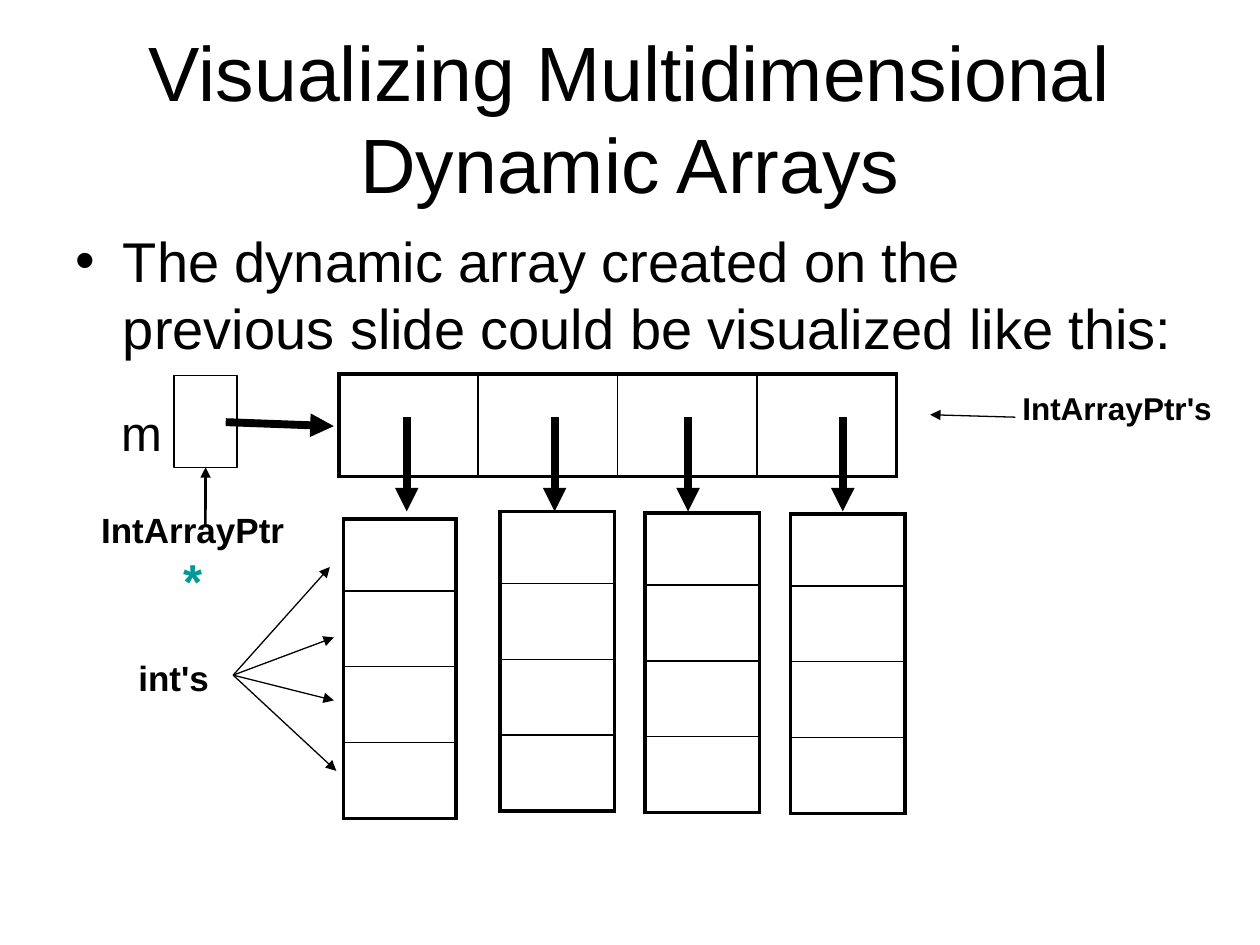
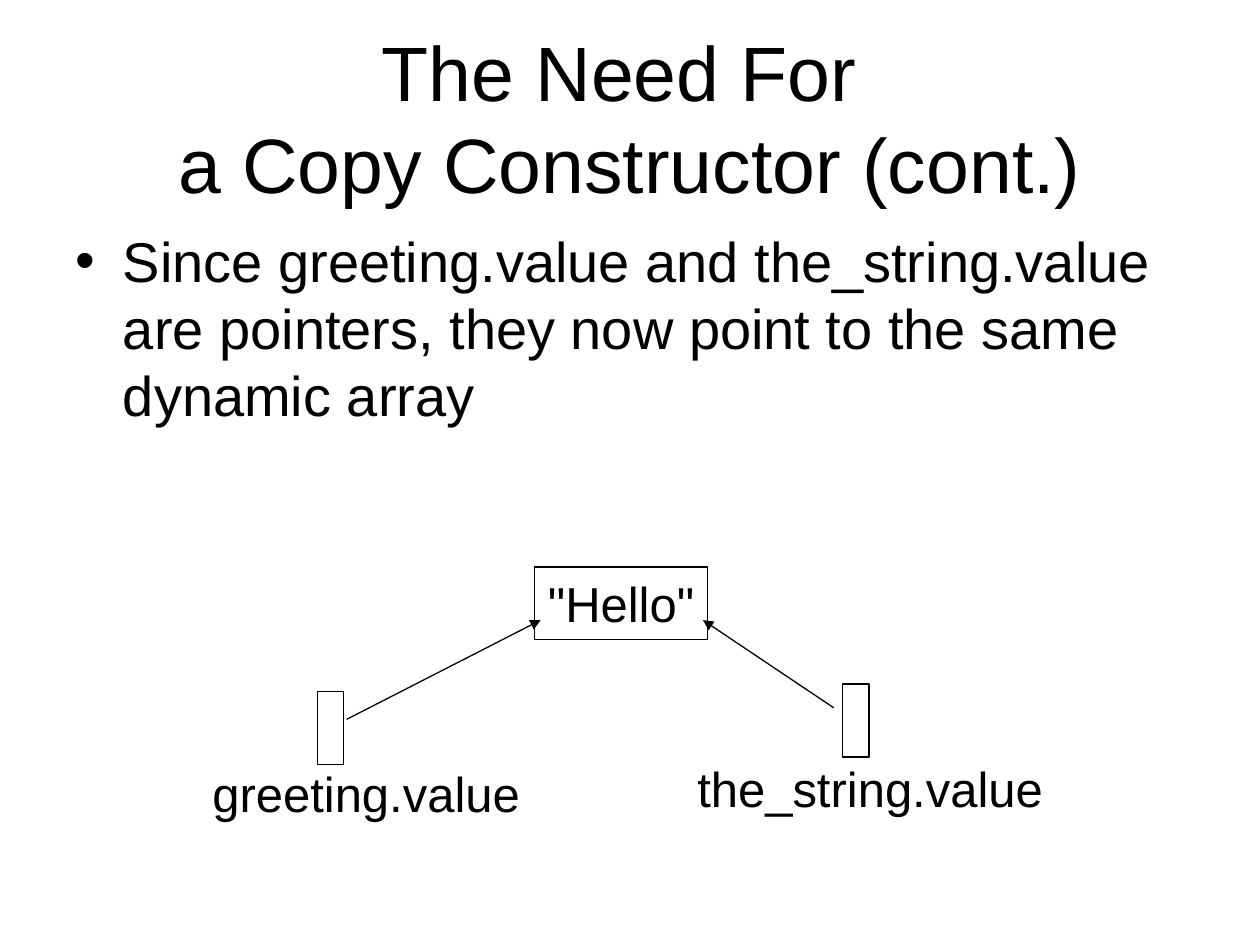
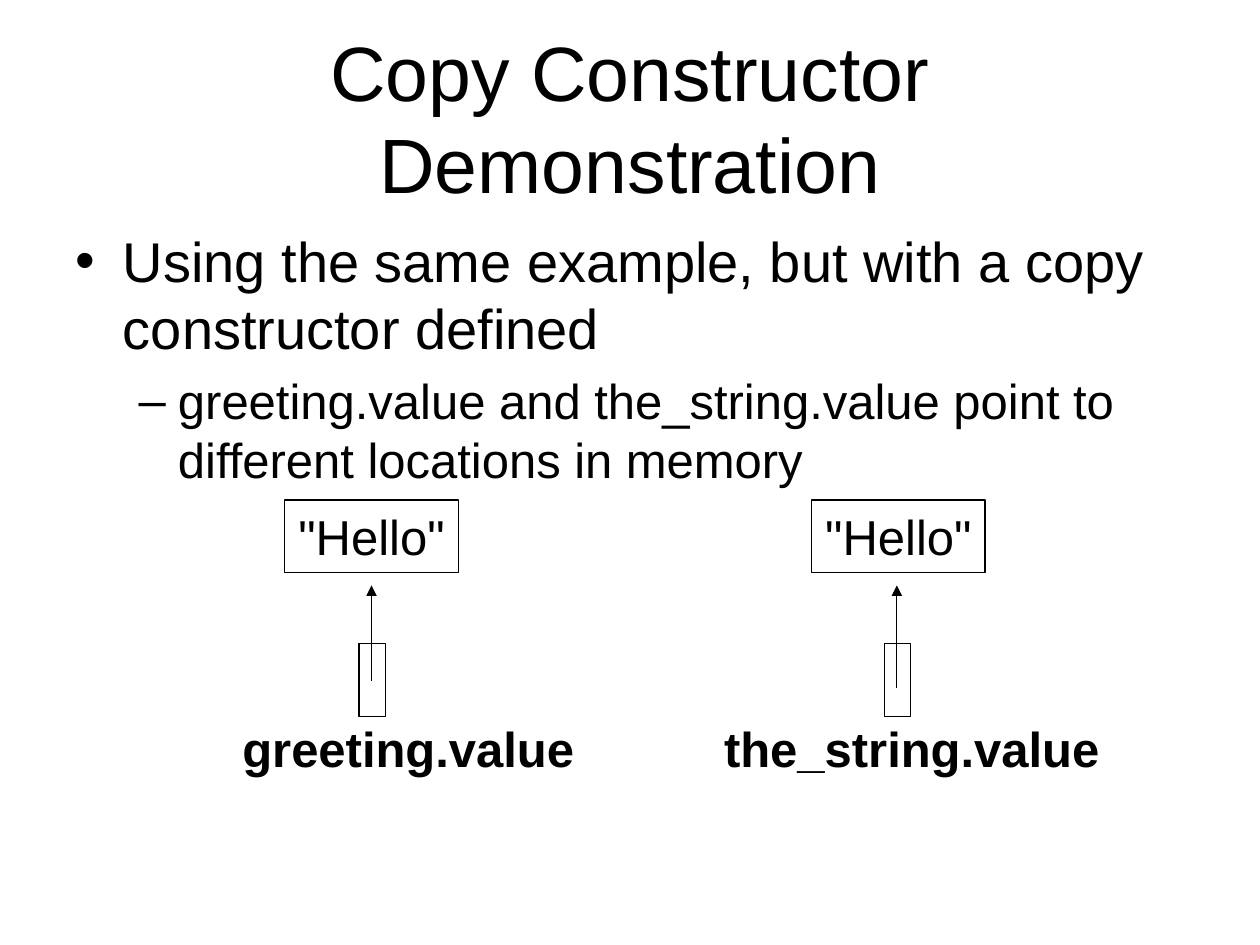
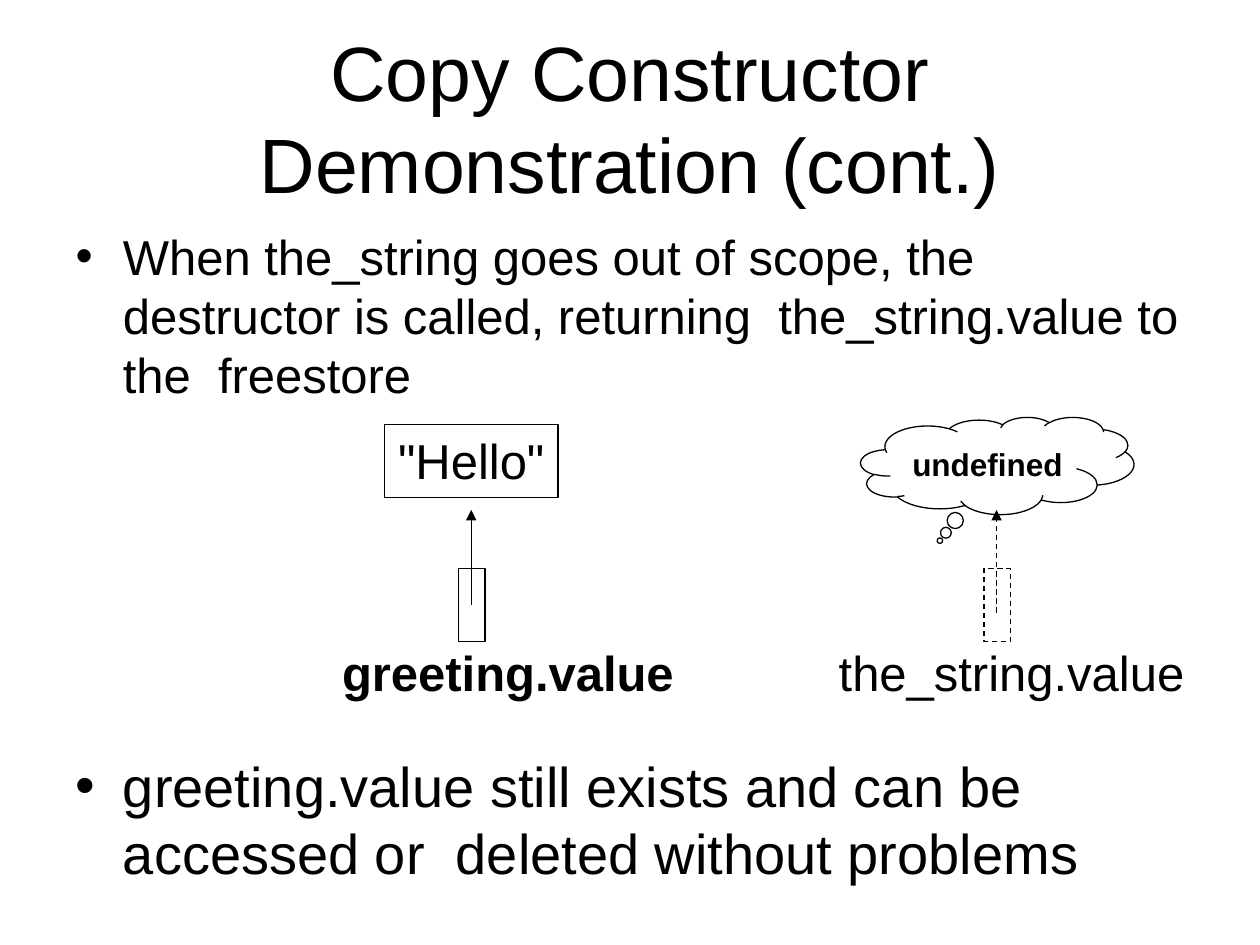
from lxml.etree import SubElement as Sub, Element
from pptx import Presentation
from pptx.dml.color import RGBColor
from pptx.enum.dml import MSO_LINE as Dash
from pptx.enum.shapes import MSO_CONNECTOR as Link, MSO_SHAPE as Form
from pptx.enum.text import MSO_ANCHOR as Anchor, MSO_AUTO_SIZE as Fit, PP_ALIGN as Align
from pptx.oxml.ns import qn
from pptx.util import Cm, Pt

BLACK = RGBColor(0x00, 0x00, 0x00)
TEAL = RGBColor(0x00, 0x99, 0x99)
THIN, MID, THICK = 0.75, 1, 2.25


def put(para, text, size=28, bold=False, color=BLACK, align=None):
    if align is not None:
        para.alignment = align
    for i, part in enumerate(text.split("\n")):
        if i:
            para.add_line_break()
        run = para.add_run()
        run.text = part
        font = run.font
        font.name, font.size, font.bold = "Arial", Pt(size), bold
        font.color.rgb = color


class Deck:
    def __init__(self):
        self.file = Presentation()
        self.file.slide_width, self.file.slide_height = Cm(25.4), Cm(19.05)

    def add(self, title, items):
        self.slide = self.file.slides.add_slide(self.file.slide_layouts[1])
        self.shapes = self.slide.shapes
        head, body = self.slide.placeholders
        self.place(head, 1.27, 0.76, 22.86, 3.18)
        head.text_frame.vertical_anchor = Anchor.MIDDLE
        put(head.text_frame.paragraphs[0], title, size=44, align=Align.CENTER)
        self.place(body, 1.27, 4.44, 22.86, 12.57)
        frame = body.text_frame
        for i, (text, size, level, gap) in enumerate(items):
            para = frame.add_paragraph() if i else frame.paragraphs[0]
            para.level = level
            if gap:
                para.space_before = Pt(gap)
            put(para, text, size=size)

    def place(self, shape, x, y, w, h):
        shape.left, shape.top, shape.width, shape.height = map(Cm, (x, y, w, h))
        shape.text_frame.auto_size = Fit.NONE

    def text(self, text, x, y, w, h=1.45, wrap=False, **style):
        frame = self.shapes.add_textbox(Cm(x), Cm(y), Cm(w), Cm(h)).text_frame
        frame.word_wrap = wrap
        put(frame.paragraphs[0], text, align=Align.CENTER, **style)
        return frame.paragraphs[0]

    def box(self, x, y, w=0.53, h=1.47, text="", form=Form.RECTANGLE,
            dash=None, anchor=Anchor.TOP, **style):
        shape = self.shapes.add_shape(form, Cm(x), Cm(y), Cm(w), Cm(h))
        shape.shadow.inherit = False
        shape.fill.background()
        self.stroke(shape.line, THIN, dash)
        if text:
            frame = shape.text_frame
            frame.word_wrap, frame.vertical_anchor = False, anchor
            put(frame.paragraphs[0], text, align=Align.CENTER, **style)
        return shape

    def stroke(self, line, width, dash=None):
        line.color.rgb = BLACK
        line.width = Pt(width)
        if dash:
            line.dash_style = dash

    def arrow(self, x1, y1, x2, y2, width=THIN, dash=None):
        link = self.shapes.add_connector(Link.STRAIGHT, Cm(x1), Cm(y1), Cm(x2), Cm(y2))
        self.stroke(link.line, width, dash)
        Sub(link.line._get_or_add_ln(), qn("a:tailEnd"), type="triangle")
        Sub(link._element.spPr, qn("a:effectLst"))
        return link

    def grid(self, x, y, cols, rows):
        frame = self.shapes.add_table(len(rows), len(cols), Cm(x), Cm(y),
                                      Cm(sum(cols)), Cm(sum(rows)))
        table = frame.table
        table.first_row = table.horz_banding = False
        for col, width in zip(table.columns, cols):
            col.width = Cm(width)
        for row, height in zip(table.rows, rows):
            row.height = Cm(height)
        for r in range(len(rows)):
            for c in range(len(cols)):
                edges = {"L": c == 0, "R": c == len(cols) - 1,
                         "T": r == 0, "B": r == len(rows) - 1}
                self.frame(table.cell(r, c), edges)

    def frame(self, cell, edges):
        cell.fill.background()
        props = cell._tc.get_or_add_tcPr()
        for i, (side, outer) in enumerate(edges.items()):
            line = Element(qn("a:ln" + side), w=str(Pt(THICK if outer else MID)))
            Sub(Sub(line, qn("a:solidFill")), qn("a:srgbClr"), val=str(BLACK))
            props.insert(i, line)

    def hello(self, x, y):
        self.box(x, y, w=3.5, text='"Hello"')

    def label(self, x, y, name, width, shift, bold=False):
        self.text(name, x + shift - width / 2, y, width, bold=bold)

    def point(self, x, y, name, width, shift, tail=0.74, bold=True, dash=None):
        self.label(x, y + 1.37, name, width, shift, bold)
        self.box(x, y, dash=dash)
        self.arrow(x + 0.25, y + tail, x + 0.25, y - 1.18, dash=dash)


def array(deck):
    deck.add("Visualizing Multidimensional Dynamic Arrays", [
        ("The dynamic array created on the previous slide could be visualized like this:",
         32, 0, None)])
    deck.grid(6.83, 7.54, [2.81] * 4, [2.06])
    deck.text("m", 2.18, 7.98, 1.35)
    start = deck.box(3.51, 7.57, 1.27, 1.85)
    deck.arrow(4.55, 8.51, 6.73, 8.59, width=4.5)
    for x, y, width, tip in ((6.93, 10.46, 2.26, 8.2), (10.08, 10.31, 2.31, 11.18),
                             (13, 10.34, 2.31, 13.87), (15.93, 10.36, 2.31, 16.99)):
        deck.grid(x, y, [width], [1.45] + [1.53] * 3)
        deck.arrow(tip, 8.41, tip, 10.31, width=4.5)
    deck.text("IntArrayPtr's", 20.12, 7.72, 4.8, 1.02, size=18, bold=True)
    deck.arrow(20.47, 8.41, 18.75, 8.36)
    deck.text(" int's", 2.34, 13.11, 2.13, 1.09, size=20, bold=True)
    for x, y in ((6.65, 11.43), (6.73, 12.85), (6.73, 14.12), (6.78, 15.54)):
        deck.arrow(4.7, 13.61, x, y)
    para = deck.text("IntArrayPtr ", 1.6, 10.13, 4.57, wrap=True, size=20, bold=True)
    put(para, "*", bold=True, color=TEAL)
    deck.arrow(4.14, 10.59, 4.14, 9.42, width=1.5).end_connect(start, 2)


def need(deck):
    deck.add("The Need For \na Copy Constructor (cont.)", [
        ("Since greeting.value and the_string.value are pointers, "
         "they now point to the same dynamic array", 32, 0, None)])
    deck.arrow(6.99, 14.5, 10.9, 12.5)
    deck.label(6.4, 15.27, "greeting.value", 6.73, 0.98)
    deck.label(16.99, 15.16, "the_string.value", 7.49, 0.55)
    deck.box(6.4, 13.94)
    deck.box(16.99, 13.79)
    deck.hello(10.77, 11.43)
    deck.arrow(16.81, 14.27, 14.17, 12.5)


def demo(deck):
    deck.add("Copy Constructor Demonstration", [
        ("Using the same example, but with a copy\nconstructor defined", 32, 0, None),
        ("greeting.value and the_string.value point to \ndifferent locations in memory",
         28, 1, None)])
    deck.point(7.24, 12.98, "greeting.value", 7.21, 0.99)
    deck.point(17.83, 12.98, "the_string.value", 8.1, 0.55, tail=0.89)
    for x in (5.74, 16.36):
        deck.hello(x, 10.08)


def scope(deck):
    deck.add("Copy Constructor Demonstration (cont.)", [
        ("When the_string goes out of scope, the destructor is called, "
         "returning  the_string.value to the  freestore", 28, 0, None),
        ("greeting.value still exists and can be accessed or  deleted without problems",
         32, 0, 199)])
    deck.point(9.25, 11.46, "greeting.value", 7.21, 0.99)
    deck.point(19.84, 11.46, "the_string.value", 7.49, 0.55, tail=0.89,
               bold=False, dash=Dash.DASH)
    deck.hello(7.75, 8.56)
    cloud = deck.box(17.35, 8.41, 5.51, 1.96, "undefined", Form.CLOUD_CALLOUT,
                     anchor=Anchor.MIDDLE, size=18, bold=True)
    cloud.adjustments[0], cloud.adjustments[1] = -0.21, 0.77


def main():
    deck = Deck()
    for build in (array, need, demo, scope):
        build(deck)
    deck.file.save("out.pptx")


if __name__ == "__main__":
    main()
